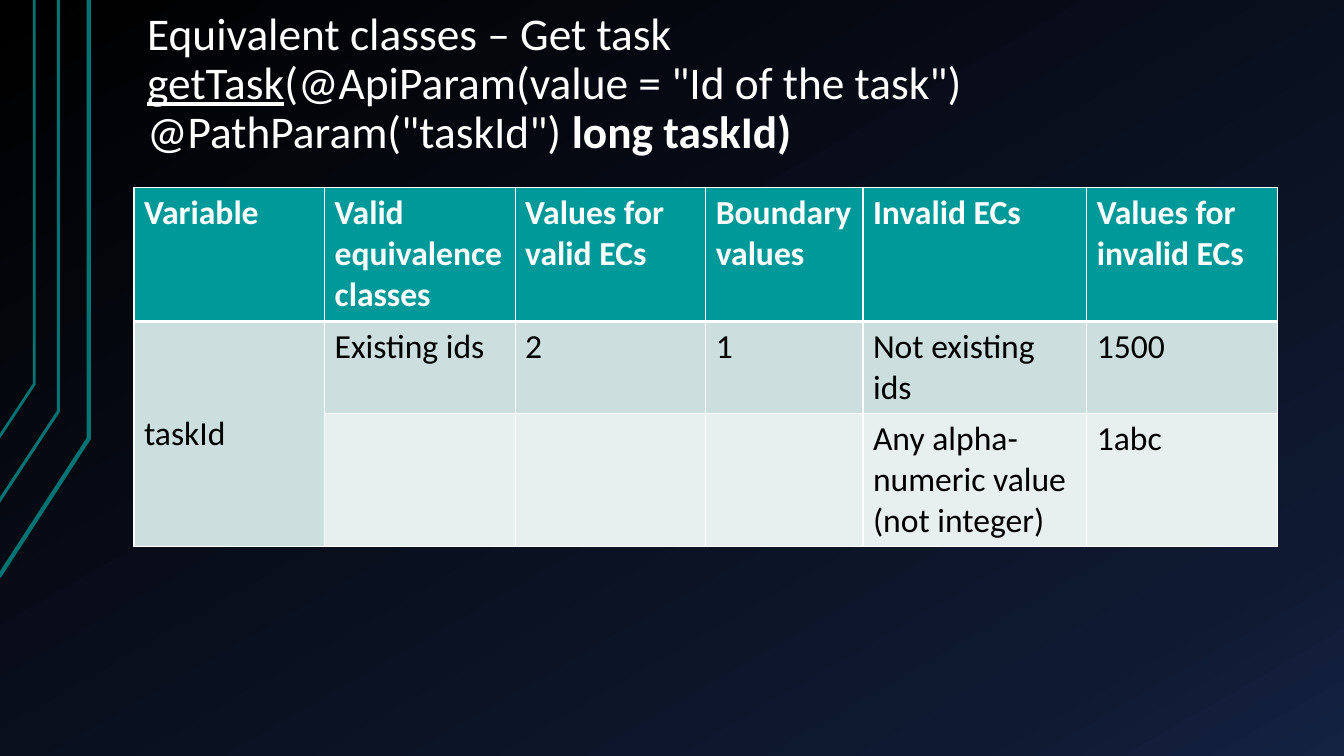
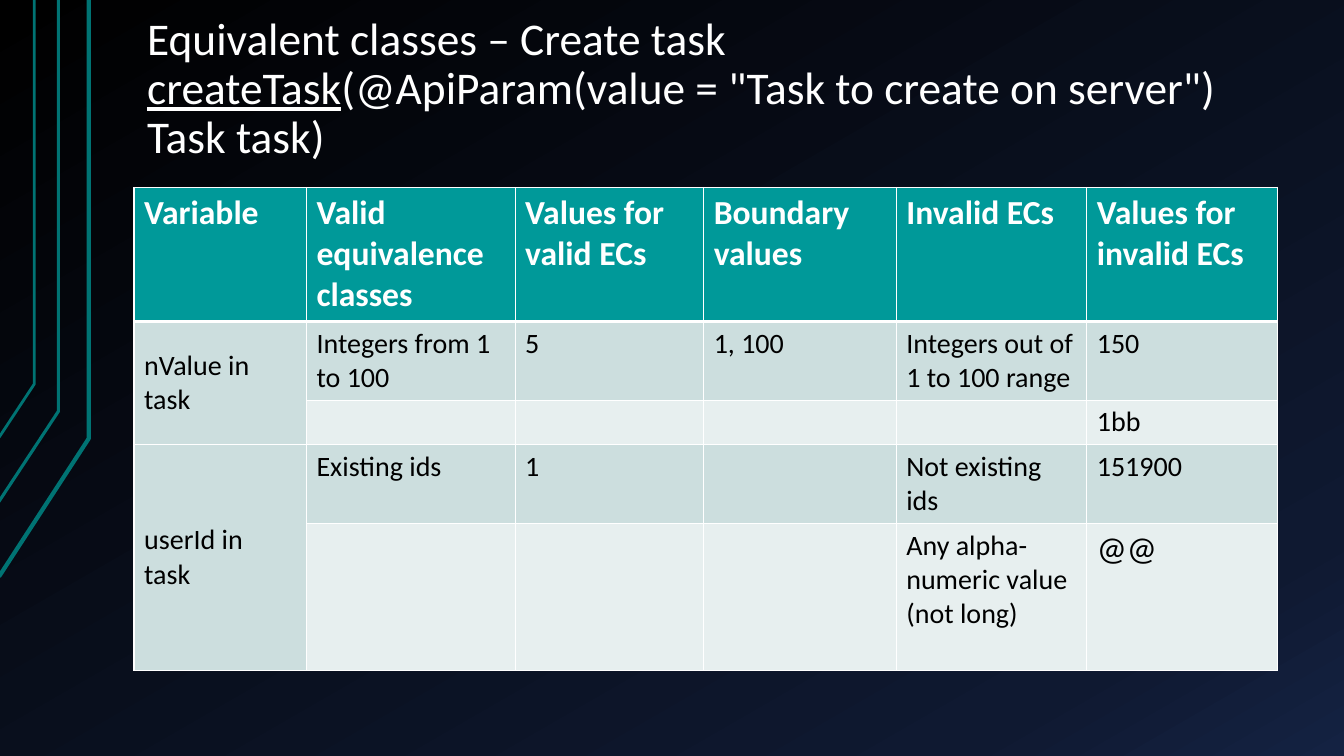
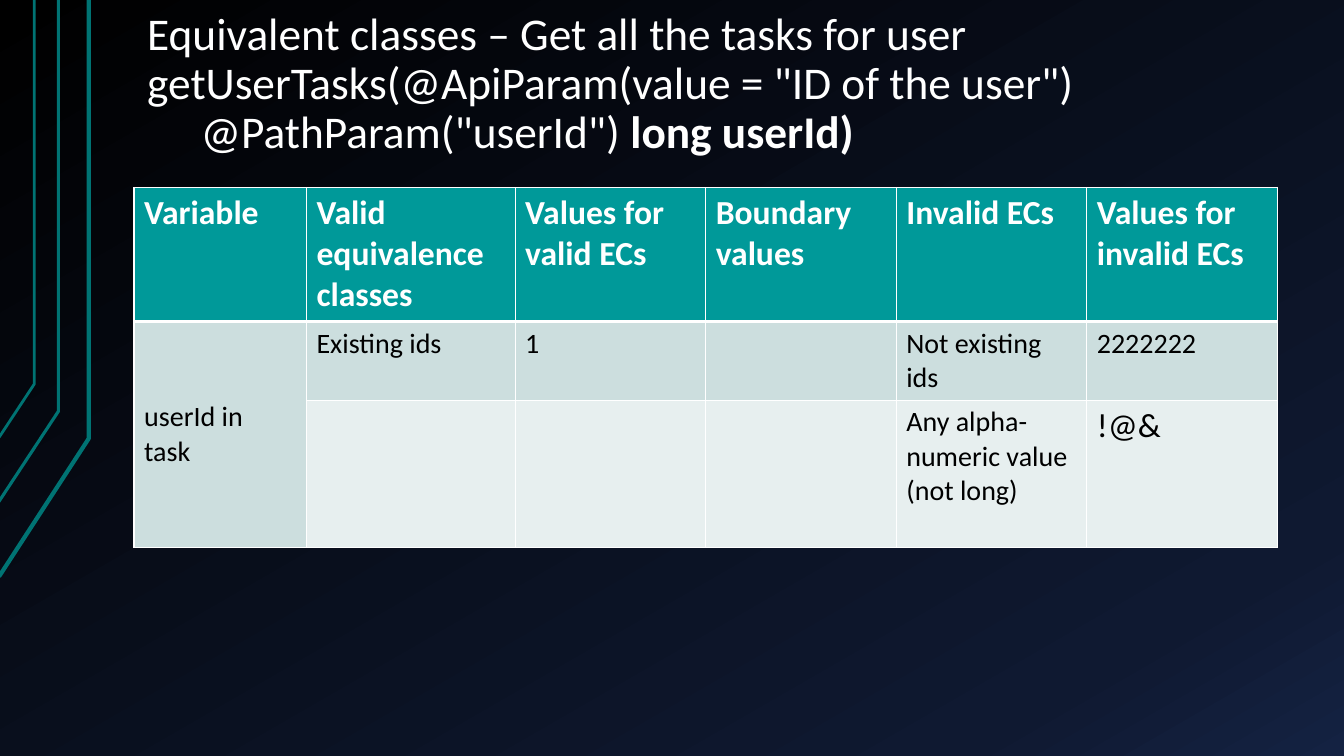
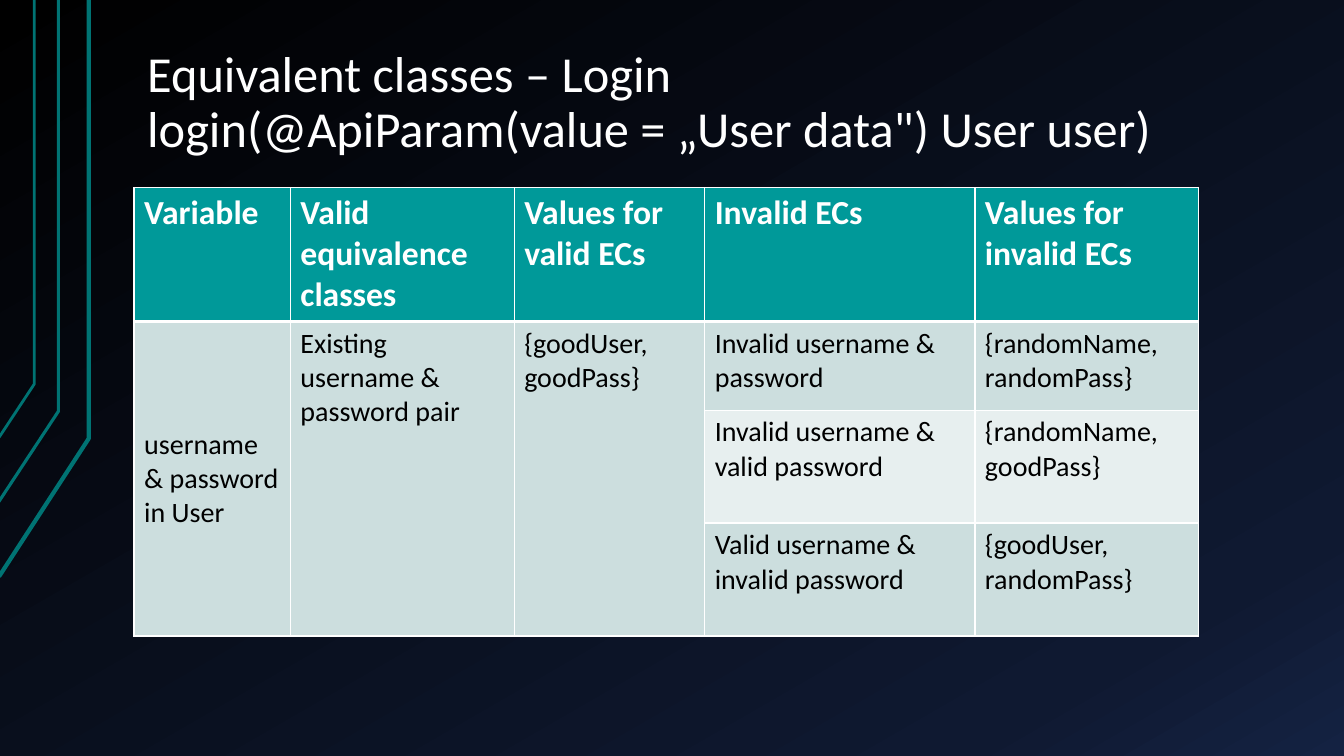
from copy import deepcopy
from pptx import Presentation
from pptx.dml.color import RGBColor as RGB
from pptx.enum.text import MSO_ANCHOR as Anchor, MSO_AUTO_SIZE as Fit, PP_ALIGN as Align
from pptx.oxml import parse_xml
from pptx.oxml.ns import nsdecls
from pptx.util import Inches, Pt

FONT = "Calibri"
WHITE, BLACK, TEAL, LINE = "FFFFFF", "000000", "009999", "007373"
BANDS = ("E7EFEF", "CCDEDE")
SKY = ((0, "000000"), (0.85, "0F1931"), (1, "142242"))
# Corner lines: line width, then points from the lower left to the top
RAILS = (
    (3, ((-0.01, 5.72), (0.88, 4.35), (0.88, 0))),
    (2.25, ((-0.02, 4.99), (0.58, 4.08), (0.58, 0))),
    (2, ((-0.01, 4.34), (0.34, 3.81), (0.34, 0))),
)
HEAD = ["Variable", "Valid equivalence classes", "Values for valid ECs",
        "Boundary values", "Invalid ECs", "Values for invalid ECs"]
LEFT, WIDE = 1.33, 11.33


def tint(code):
    return RGB.from_string(code)


def put(item, form):
    for name, value in form.items():
        setattr(item, name, value)


class Deck:
    def __init__(self):
        self.prs = Presentation()
        put(self.prs, {"slide_width": Inches(13.33), "slide_height": Inches(7.5)})
        self.base = self.prs.slide_layouts[5]
        self.slide = None
        self.sky()

    # Shared gradient background, set on the master
    def sky(self):
        master = self.prs.slide_master
        fill = master.background.fill
        fill.gradient()
        stops = master.element.xpath("p:cSld/p:bg//a:gsLst")[0]
        stops.append(deepcopy(stops[0]))
        for stop, (place, code) in zip(fill.gradient_stops, SKY):
            stop.position = place
            stop.color.rgb = tint(code)
        fill.gradient_angle = 300

    # Shared corner lines, drawn once and kept on the layout
    def rails(self):
        for width, points in RAILS:
            first, *rest = [(Inches(x), Inches(y)) for x, y in points]
            pen = self.slide.shapes.build_freeform(*first)
            pen.add_line_segments(rest, close=False)
            rail = pen.convert_to_shape()
            rail.shadow.inherit = False
            rail.fill.background()
            rail.line.color.rgb = tint(LINE)
            rail.line.width = Pt(width)
            self.base.shapes.element.append(rail.element)

    def page(self):
        first = self.slide is None
        self.slide = self.prs.slides.add_slide(self.base)
        if first:
            self.rails()

    def style(self, run, size, code, **form):
        put(run.font, {"name": FONT, "size": Pt(size), **form})
        run.font.color.rgb = tint(code)

    # Each line is a list of (text, font values)
    def title(self, *lines, size=32.4, top=0.3, high=1.34, pad=0):
        box = self.slide.shapes.title
        put(box, {"left": Inches(LEFT), "top": Inches(top),
                  "width": Inches(WIDE), "height": Inches(high)})
        frame = box.text_frame
        put(frame, {"word_wrap": True, "auto_size": Fit.NONE,
                    "vertical_anchor": Anchor.BOTTOM,
                    "margin_left": Inches(0.13), "margin_right": Inches(0.13),
                    "margin_top": Inches(0.07), "margin_bottom": Inches(0.07)})
        for i, line in enumerate(lines):
            para = frame.add_paragraph() if i else frame.paragraphs[0]
            put(para, {"alignment": Align.LEFT, "line_spacing": 0.9,
                       "space_before": Pt(0), "space_after": Pt(0)})
            for text, form in line:
                run = para.add_run()
                run.text = text
                self.style(run, size, WHITE, **form)
        if pad:
            para._p.get_or_add_pPr().set("marL", str(Inches(pad)))

    def edge(self, cell, **widths):
        props = cell._tc.get_or_add_tcPr()
        for side in "LRTB":
            width = Pt(widths.get(side, 1))
            props.append(parse_xml(
                f'<a:ln{side} {nsdecls("a")} w="{width}"><a:solidFill>'
                f'<a:srgbClr val="{WHITE}"/></a:solidFill></a:ln{side}>'))

    def cell(self, cell, value, row, col, size):
        text, size = value if isinstance(value, tuple) else (value or "", size)
        head = row == 0
        self.edge(cell, **({"B": 3} if head else {"T": 3} if row == 1 else {}))
        cell.fill.solid()
        cell.fill.fore_color.rgb = tint(TEAL if head else BANDS[row % 2])
        cell.text = text
        cell.vertical_anchor = Anchor.TOP if head or col else Anchor.MIDDLE
        for para in cell.text_frame.paragraphs:
            for run in para.runs:
                self.style(run, 24 if head else size,
                           WHITE if head else BLACK, bold=head)

    # None in a row joins the cell to the one above it
    def table(self, cols, highs, head, *body, size=20):
        rows, highs = [head, *body], [1.33, *highs]
        grid = self.slide.shapes.add_table(
            len(rows), len(cols), Inches(LEFT), Inches(1.86),
            Inches(sum(cols)), Inches(sum(highs))).table
        for col, width in zip(grid.columns, cols):
            col.width = Inches(width)
        for row, high in zip(grid.rows, highs):
            row.height = Inches(high)
        for r, row in enumerate(rows):
            for c, value in enumerate(row):
                self.cell(grid.cell(r, c), value, r, c, size)
        for c in range(len(cols)):
            starts = [r for r, row in enumerate(rows) if row[c] is not None]
            for top, end in zip(starts, starts[1:] + [len(rows)]):
                if end - top > 1:
                    grid.cell(top, c).merge(grid.cell(end - 1, c))


def main():
    deck = Deck()
    under, bold = {"underline": True}, {"bold": True}

    # Get task
    deck.page()
    deck.title(
        [("Equivalent classes – Get task", {})],
        [("getTask", under),
         ('(@ApiParam(value = "Id of the task") @PathParam("taskId") ', {}),
         ("long taskId)", bold)])
    deck.table(
        (1.89, 1.89, 1.89, 1.56, 2.22, 1.89), (0.91, 1.32), HEAD,
        ["taskId", "Existing ids", "2", "1", "Not existing ids", "1500"],
        [None, "", "", "", "Any alpha-numeric value (not integer)", "1abc"],
        size=24)

    # Create task
    deck.page()
    deck.title(
        [("Equivalent classes – Create task", {})],
        [("createTask", under),
         ('(@ApiParam(value = "Task to create on server") Task task)', {})],
        top=0.13, high=1.56)
    deck.table(
        (1.71, 2.07, 1.87, 1.91, 1.89, 1.89), (0.78, 0.44, 0.78, 1.46), HEAD,
        ["nValue in task", "Integers from 1 to 100", "5", "1, 100",
         "Integers out of 1 to 100 range", "150"],
        [None, "", "", "", "", "1bb"],
        ["userId in\ntask", "Existing ids", "1", "", "Not existing ids", "151900"],
        [None, "", "", "", "Any alpha-numeric value (not long)", ("@@", 24)])

    # Get all the tasks for user
    deck.page()
    deck.title(
        [("Equivalent classes – Get all the tasks for user", {})],
        [('getUserTasks(@ApiParam(value = "ID of the user")', {})],
        [('@PathParam("userId") ', {}), ("long userId)", bold)],
        pad=0.53)
    deck.table(
        (1.71, 2.07, 1.89, 1.89, 1.89, 1.89), (0.78, 1.46), HEAD,
        ["userId in\ntask", "Existing ids", "1", "", "Not existing ids", "2222222"],
        [None, "", "", "", "Any alpha-numeric value (not long)", ("!@&", 24)])

    # Login
    deck.page()
    deck.title(
        [("Equivalent classes – Login", {})],
        [('login(@ApiParam(value = „User data") User user)', {})],
        size=36)
    deck.table(
        (1.55, 2.22, 1.89, 2.68, 2.22), (0.88, 1.12, 1.12), HEAD[:3] + HEAD[4:],
        ["username & password in User", "Existing username & password pair",
         "{goodUser,\ngoodPass}", "Invalid username & password",
         "{randomName,\nrandomPass}"],
        [None, None, None, "Invalid username & valid password",
         "{randomName,\ngoodPass}"],
        [None, None, None, "Valid username & invalid password",
         "{goodUser,\nrandomPass}"])

    deck.prs.save("out.pptx")


if __name__ == "__main__":
    main()
